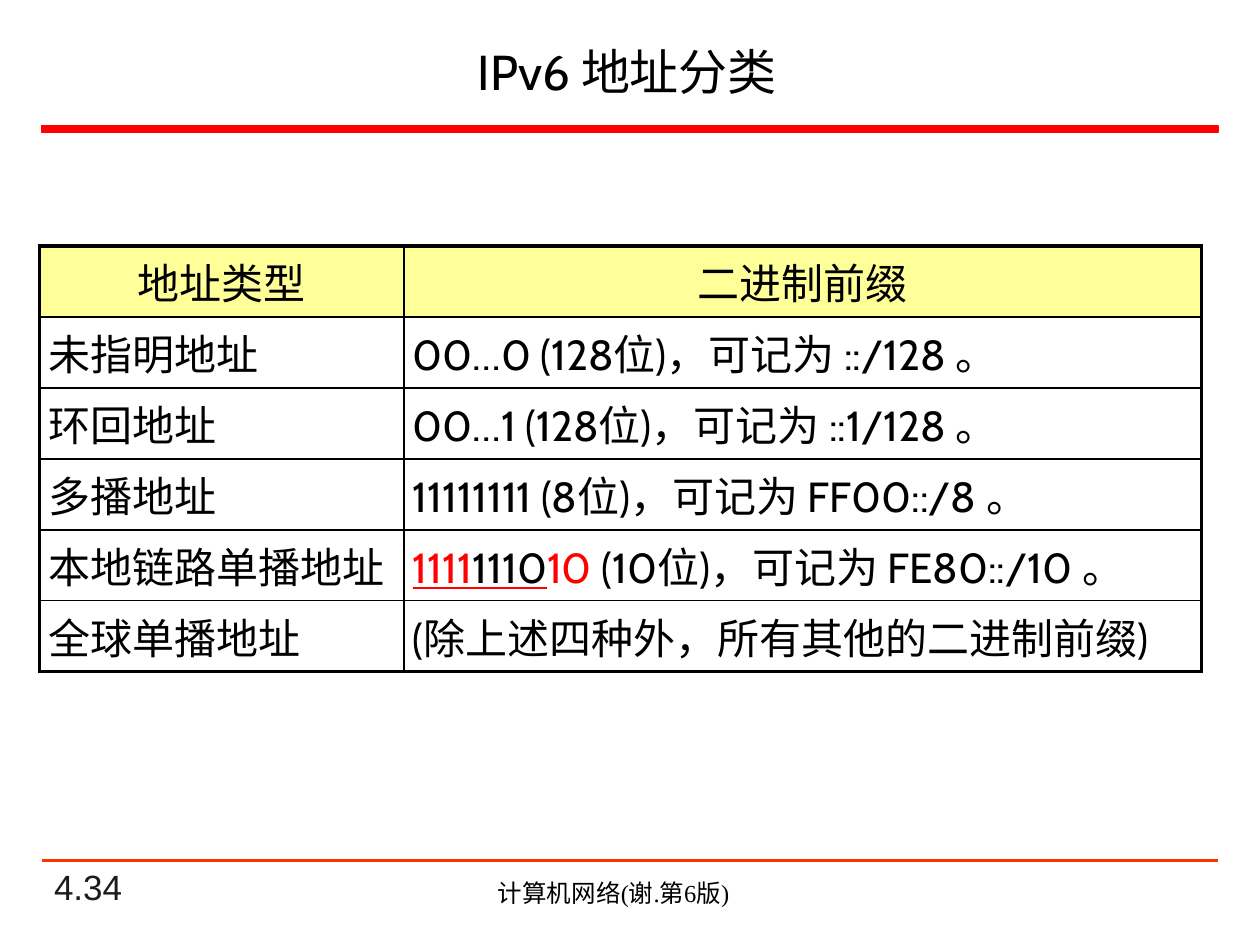
"""Build the slide that lists the IPv6 address types and their prefixes."""
from typing import Any, NamedTuple

import lxml.etree
import pptx
import pptx.dml.color
import pptx.enum.shapes
import pptx.enum.text
import pptx.oxml
import pptx.oxml.ns
import pptx.util

Cm = pptx.util.Cm
Pt = pptx.util.Pt
ALIGN = pptx.enum.text.PP_ALIGN
ANCHOR = pptx.enum.text.MSO_ANCHOR
qn = pptx.oxml.ns.qn

BLACK, RED, ORANGE, YELLOW, WHITE = "000000", "FF0000", "FF3300", "FFFF99", "FFFFFF"
THICK, THIN = 2.25, 1
COLUMN_WIDTHS = (7.34, 16.08)
ROW_HEIGHT = 1.43


class Span(NamedTuple):
    text: str
    color: str = BLACK
    underlined: bool = False


class Label(NamedTuple):
    text: str
    left: float
    top: float
    width: float
    height: float
    size: float
    font: str
    color: str
    align: Any
    anchor: Any


LABELS = (
    Label("4.34", 0.84, 17.58, 5.28, 0.84, 20, "Arial", "1C1C1C", ALIGN.LEFT, ANCHOR.BOTTOM),
    Label("计算机网络(谢.第6版)", 7.19, 17.58, 10.36, 0.86, 14, "Times New Roman", BLACK,
          ALIGN.CENTER, ANCHOR.TOP),
)
ROWS = (
    ("地址类型", [Span("二进制前缀")]),
    ("未指明地址", [Span("00…0 (128位)，可记为 ::/128 。")]),
    ("环回地址", [Span("00…1 (128位)，可记为 ::1/128 。")]),
    ("多播地址", [Span("11111111 (8位)，可记为 FF00::/8 。")]),
    ("本地链路单播地址", [Span("1111", RED, True), Span("1110", BLACK, True), Span("10 ", RED),
                  Span("(10位)，可记为 FE80::/10 。")]),
    ("全球单播地址", [Span("(除上述四种外，所有其他的二进制前缀)")]),
)


def rgb(value: str) -> pptx.dml.color.RGBColor:
    """Turn a hex string into a colour."""
    return pptx.dml.color.RGBColor.from_string(value)


def format_run(run: Any, size: float, font: str, color: str) -> None:
    """Set the size, typeface and colour of a run."""
    run.font.size = Pt(size)
    run.font.name = font
    run.font.color.rgb = rgb(color)


def underline_in_red(run: Any) -> None:
    """Underline a run in red whatever its text colour."""
    run.font.underline = True
    fill = lxml.etree.Element(qn("a:uFill"))
    solid = lxml.etree.SubElement(fill, qn("a:solidFill"))
    lxml.etree.SubElement(solid, qn("a:srgbClr"), val=RED)
    run.font._element.find(qn("a:solidFill")).addnext(fill)


def add_label(page: Any, label: Label) -> None:
    """Add one line of footer text."""
    box = page.shapes.add_textbox(Cm(label.left), Cm(label.top), Cm(label.width), Cm(label.height))
    frame = box.text_frame
    frame.text = label.text
    frame.word_wrap = True
    frame.vertical_anchor = label.anchor
    para = frame.paragraphs[0]
    para.alignment = label.align
    format_run(para.runs[0], label.size, label.font, label.color)


def add_title(page: Any, text: str) -> None:
    """Fill and place the title placeholder."""
    title = page.shapes.title
    title.left, title.top, title.width, title.height = Cm(0.91), Cm(0.56), Cm(23.47), Cm(1.75)
    title.text_frame.text = text
    title.text_frame.vertical_anchor = ANCHOR.MIDDLE
    para = title.text_frame.paragraphs[0]
    para.alignment = ALIGN.CENTER
    format_run(para.runs[0], 28, "Cabin", BLACK)


def add_rules(page: Any) -> None:
    """Add the bar under the title and the line above the footer."""
    bar = page.shapes.add_shape(pptx.enum.shapes.MSO_SHAPE.RECTANGLE,
                                Cm(0.84), Cm(2.54), Cm(23.72), Cm(0.13))
    bar.shadow.inherit = False
    bar.fill.solid()
    bar.fill.fore_color.rgb = rgb(RED)
    bar.line.color.rgb = rgb(RED)
    bar.line.width = Pt(1)
    line = page.shapes.add_connector(pptx.enum.shapes.MSO_CONNECTOR.STRAIGHT,
                                     Cm(0.84), Cm(17.35), Cm(24.56), Cm(17.35))
    line.line.color.rgb = rgb(ORANGE)
    line.line.width = Pt(1.5)
    lxml.etree.SubElement(line._element.spPr, qn("a:effectLst"))


def set_borders(cell: Any, widths: dict[str, float]) -> None:
    """Draw solid black borders of the given widths around a cell."""
    properties = cell._tc.get_or_add_tcPr()
    for index, (side, width) in enumerate(widths.items()):
        border = lxml.etree.Element(qn(f"a:ln{side}"), w=str(Pt(width)))
        solid = lxml.etree.SubElement(border, qn("a:solidFill"))
        lxml.etree.SubElement(solid, qn("a:srgbClr"), val=BLACK)
        properties.insert(index, border)


def fill_cell(cell: Any, spans: list[Span], header: bool) -> None:
    """Write and format the text of a cell."""
    cell.margin_left = cell.margin_right = Cm(0.18)
    cell.margin_top = cell.margin_bottom = 0
    cell.vertical_anchor = ANCHOR.MIDDLE
    cell.fill.solid()
    cell.fill.fore_color.rgb = rgb(YELLOW if header else WHITE)
    para = cell.text_frame.paragraphs[0]
    para.alignment = ALIGN.CENTER if header else ALIGN.JUSTIFY
    for span in spans:
        run = para.add_run()
        run.text = span.text
        format_run(run, 24, "Cabin", span.color)
        if span.underlined:
            underline_in_red(run)


def add_prefix_table(page: Any) -> None:
    """Add the table of address types with a thick outer frame."""
    last_row, last_column = len(ROWS) - 1, len(COLUMN_WIDTHS) - 1
    table = page.shapes.add_table(len(ROWS), len(COLUMN_WIDTHS), Cm(0.8), Cm(4.96),
                                  Cm(sum(COLUMN_WIDTHS)), Cm(ROW_HEIGHT * len(ROWS))).table
    for column, width in zip(table.columns, COLUMN_WIDTHS):
        column.width = Cm(width)
    for row_index, (address_type, prefix) in enumerate(ROWS):
        table.rows[row_index].height = Cm(ROW_HEIGHT)
        for column_index, spans in enumerate(([Span(address_type)], prefix)):
            cell = table.cell(row_index, column_index)
            fill_cell(cell, spans, row_index == 0)
            outer = {"L": column_index == 0, "R": column_index == last_column,
                     "T": row_index == 0, "B": row_index == last_row}
            set_borders(cell, {side: THICK if edge else THIN for side, edge in outer.items()})


def main() -> None:
    """Build and save the deck."""
    deck = pptx.Presentation()
    deck.slide_width, deck.slide_height = Cm(25.4), Cm(19.05)
    page = deck.slides.add_slide(deck.slide_layouts[5])
    add_rules(page)
    for label in LABELS:
        add_label(page, label)
    add_title(page, "IPv6 地址分类")
    add_prefix_table(page)
    deck.save("out.pptx")


if __name__ == "__main__":
    main()
